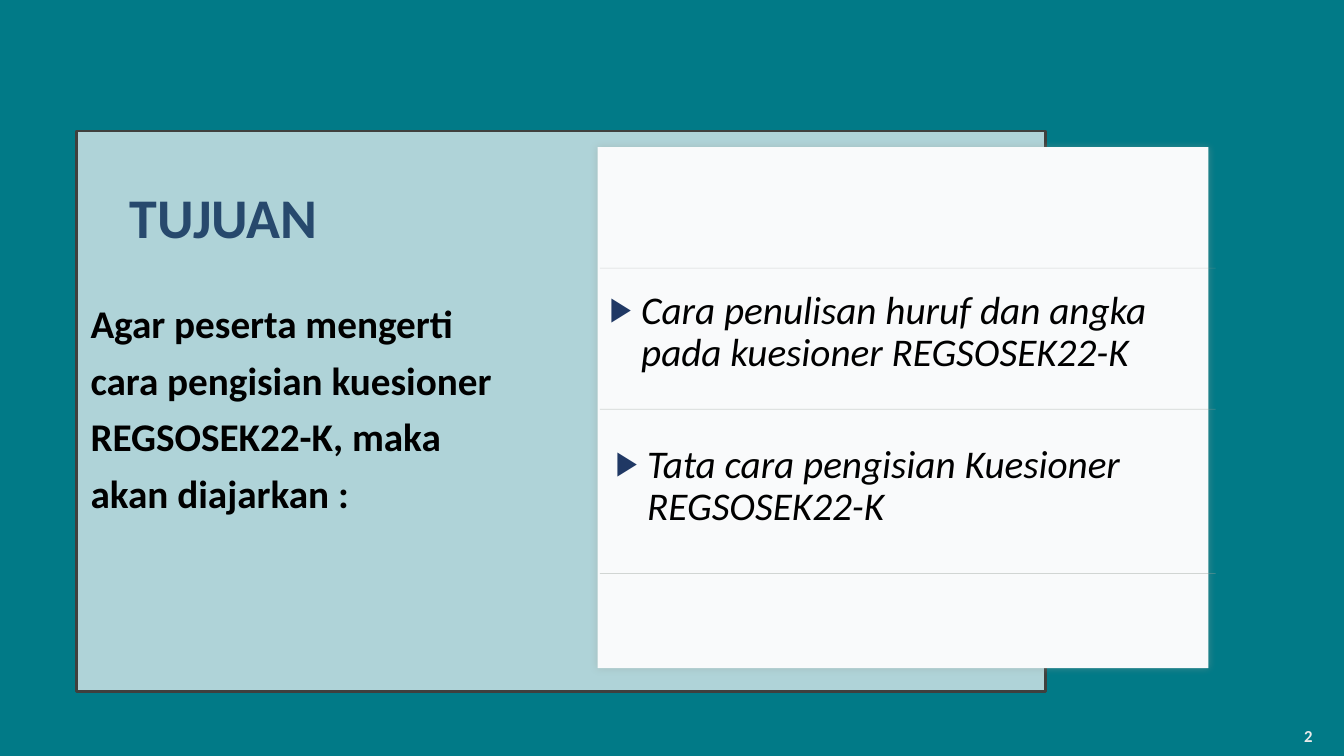
import pptx
import pptx.util
import pptx.dml.color
import pptx.enum.shapes
import pptx.enum.text
import pptx.oxml
import pptx.oxml.ns

Pt = pptx.util.Pt
RGBColor = pptx.dml.color.RGBColor
TEAL = RGBColor(0x01, 0x7A, 0x87)
PAPER = RGBColor(0xF9, 0xFA, 0xFB)
FRAME = RGBColor(0x3F, 0x40, 0x3E)
RULE = RGBColor(0x96, 0x9F, 0x98)
NAVY = RGBColor(0x27, 0x49, 0x6D)
BULLET = RGBColor(0x20, 0x38, 0x64)
BLACK = RGBColor(0x00, 0x00, 0x00)
PALE = RGBColor(0xEA, 0xEA, 0xEA)


def append_xml(parent, xml):
    namespace = pptx.oxml.ns.nsdecls("a")
    parent.append(pptx.oxml.parse_xml(xml.replace(">", f" {namespace}>", 1)))


def add_text(left, top, width, height, text, size, color, bold=False, italic=False, bulleted=False):
    box = page.shapes.add_textbox(Pt(left), Pt(top), Pt(width), Pt(height))
    box.text_frame.word_wrap = True
    para = box.text_frame.paragraphs[0]
    para.text = text
    if bulleted:
        properties = para._p.get_or_add_pPr()
        properties.set("marL", str(Pt(22.5)))
        properties.set("indent", str(-Pt(22.5)))
        append_xml(properties, f'<a:buClr><a:srgbClr val="{BULLET}"/></a:buClr>')
        append_xml(properties, '<a:buSzPct val="85000" ></a:buSzPct>')
        append_xml(properties, '<a:buFont typeface="Calibri" ></a:buFont>')
        append_xml(properties, '<a:buChar char="▶" ></a:buChar>')
        para.line_spacing = 0.9
        para.space_after = Pt(6)
    para.font.name = "Calibri"
    para.font.size = Pt(size)
    para.font.bold = bold
    para.font.italic = italic
    para.font.color.rgb = color
    return box


deck = pptx.Presentation()
deck.slide_width, deck.slide_height = Pt(960), Pt(540)
page = deck.slides.add_slide(deck.slide_layouts[6])
page.background.fill.solid()
page.background.fill.fore_color.rgb = TEAL

# Page number
number = add_text(910.8, 511.2, 33.84, 28.8, "2", 12, PALE, bold=True)
number.text_frame.vertical_anchor = pptx.enum.text.MSO_ANCHOR.MIDDLE
number.text_frame.paragraphs[0].alignment = pptx.enum.text.PP_ALIGN.RIGHT

# Translucent framed panel and white card
panels = []
for left, top, width, height in ((54.72, 93.6, 691.92, 400.32), (426.96, 105.12, 436.32, 372.24)):
    panel = page.shapes.add_shape(
        pptx.enum.shapes.MSO_SHAPE.RECTANGLE, Pt(left), Pt(top), Pt(width), Pt(height))
    panel.shadow.inherit = False
    panel.fill.solid()
    panel.fill.fore_color.rgb = PAPER
    panels.append(panel)
frame, card = panels
frame.line.color.rgb = FRAME
frame.line.width = Pt(2)
append_xml(frame._element.spPr.find(".//" + pptx.oxml.ns.qn("a:srgbClr")),
           '<a:alpha val="70000" ></a:alpha>')
card.line.fill.background()
append_xml(card._element.spPr.find(pptx.oxml.ns.qn("a:effectLst")),
           f'<a:outerShdw blurRad="{Pt(5)}" dist="0" dir="0"><a:srgbClr val="{RULE}">'
           '<a:alpha val="40000"/></a:srgbClr></a:outerShdw>')

# Title
add_text(85.68, 126.72, 188.64, 55.44, "TUJUAN", 40, NAVY, bold=True)

# Faint rules across the card
for height in (191.52, 292.32, 409.68):
    rule = page.shapes.add_connector(
        pptx.enum.shapes.MSO_CONNECTOR.STRAIGHT, Pt(868.32), Pt(height), Pt(428.4), Pt(height))
    rule.line.color.rgb = RULE
    rule.line.width = Pt(0.5)
    append_xml(rule._element.spPr.find(".//" + pptx.oxml.ns.qn("a:srgbClr")),
               '<a:alpha val="40000" ></a:alpha>')
    append_xml(rule._element.spPr, "<a:effectLst></a:effectLst>")

# Topics on the card
for left, top, topic in (
    (428.4, 203.76, "Cara penulisan huruf dan angka pada kuesioner REGSOSEK22-K"),
    (432.72, 313.92, "Tata cara pengisian Kuesioner REGSOSEK22-K"),
):
    add_text(left, top, 457.92, 68.4, topic, 28, BLACK, italic=True, bulleted=True)

# Purpose
purpose = add_text(
    57.6, 203.76, 314.64, 169.92,
    "Agar peserta mengerti cara pengisian kuesioner REGSOSEK22-K, maka akan diajarkan :",
    28, BLACK, bold=True)
purpose.text_frame.paragraphs[0].line_spacing = 1.2

deck.save("out.pptx")
